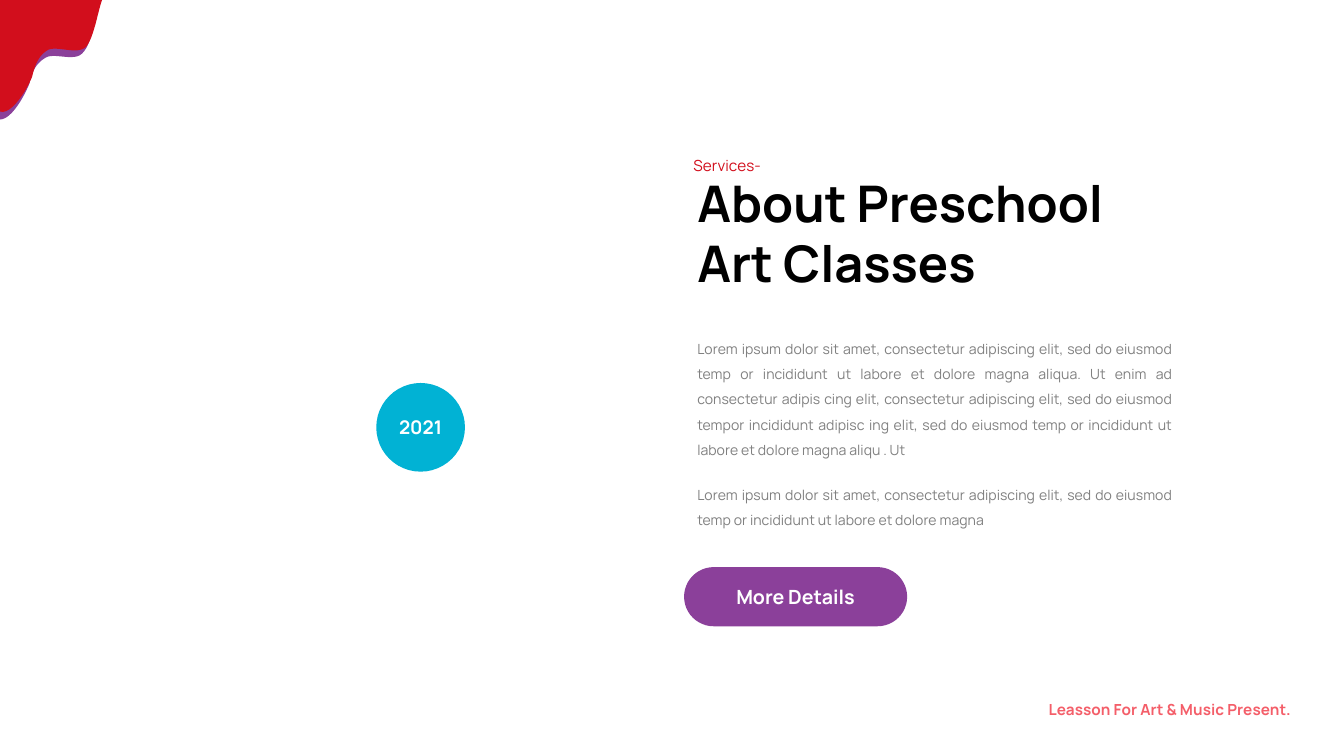
from pptx import Presentation
from pptx import util as u
from pptx.dml.color import RGBColor
from pptx.enum import shapes, text

THEME = {
    "font": "Manrope",
    "red": "D20E1C", "purple": "8B409A", "cyan": "01B2D4", "coral": "F45E69",
    "black": "000000", "grey": "808080", "white": "FFFFFF",
    "title": 27, "button": 10.5, "badge": 10.1, "label": 8.25, "body": 7.5,
}
WIDTH = 10
HEIGHT = WIDTH * 9 / 16
COLUMN_LEFT, COLUMN_WIDTH = 5.09, 3.73
WIDE_INSET, SMALL_INSET = (0.1, 0.05), (0.07, 0.04)

ALIGN = text.PP_ALIGN
LABEL = {"size": "label", "inset": SMALL_INSET, "spacing": 1.5}
BODY = {"size": "body", "color": "grey", "align": ALIGN.JUSTIFY, "spacing": 1.5}

# box (left, top, width, height), lines, format
TEXTS = [
    ((COLUMN_LEFT, 1.23, COLUMN_WIDTH, 1.01), ["About Preschool", "Art Classes"],
     {"size": "title", "color": "black", "bold": True}),
    ((COLUMN_LEFT, 1.05, 1.26, 0.28), ["Services-"],
     {**LABEL, "color": "red", "align": ALIGN.JUSTIFY}),
    ((6.87, 5.1, 2.81, 0.28), ["Leasson For Art & Music Present."],
     {**LABEL, "color": "coral", "bold": True, "align": ALIGN.RIGHT}),
    ((COLUMN_LEFT, 2.42, COLUMN_WIDTH, 1.05),
     ["Lorem ipsum dolor sit amet, consectetur adipiscing elit, sed do eiusmod "
      "temp or incididunt ut labore et dolore magna aliqua. Ut enim ad consectetur "
      "adipis cing elit, consectetur adipiscing elit, sed do eiusmod tempor "
      "incididunt adipisc ing elit, sed do eiusmod temp or incididunt ut labore et "
      "dolore magna aliqu . Ut"], BODY),
    ((COLUMN_LEFT, 3.51, COLUMN_WIDTH, 0.48),
     ["Lorem ipsum dolor sit amet, consectetur adipiscing elit, sed do eiusmod "
      "temp or incididunt ut labore et dolore magna"], BODY),
]

# preset, box, fill, caption, type size
CAPTIONED = [
    (shapes.MSO_SHAPE.OVAL, (2.8, 2.85, 0.66, 0.66), "cyan", "2021", "badge"),
    (shapes.MSO_SHAPE.ROUNDED_RECTANGLE, (COLUMN_LEFT, 4.22, 1.66, 0.44),
     "purple", "More Details", "button"),
]

# fill, top left corner, start of the wavy edge, Bezier segments down the edge
DRIPS = [
    ("purple", (0, 0.06), (0.73, 0.06), [
        ((0.71, 0.14), (0.68, 0.34), (0.61, 0.40)),
        ((0.55, 0.46), (0.40, 0.39), (0.34, 0.43)),
        ((0.27, 0.47), (0.24, 0.53), (0.22, 0.62)),
        ((0.19, 0.70), (0.09, 0.89), (0, 0.89))]),
    ("red", (0, 0), (0.76, 0), [
        ((0.73, 0.08), (0.70, 0.28), (0.64, 0.35)),
        ((0.57, 0.41), (0.43, 0.34), (0.36, 0.37)),
        ((0.29, 0.41), (0.26, 0.48), (0.24, 0.57)),
        ((0.21, 0.65), (0.09, 0.86), (0, 0.83))]),
]


def color(name):
    return RGBColor.from_string(THEME[name])


def inches(values):
    return [u.Inches(value) for value in values]


def curve(start, segments, steps=12):
    """Points along a chain of cubic Bezier segments, without the start."""
    points = []
    for first, second, end in segments:
        for step in range(1, steps + 1):
            t = step / steps
            weights = ((1 - t) ** 3, 3 * t * (1 - t) ** 2, 3 * t ** 2 * (1 - t), t ** 3)
            corners = (start, first, second, end)
            points.append(tuple(sum(w * corner[axis] for w, corner in zip(weights, corners))
                                for axis in (0, 1)))
        start = end
    return points


def paint(shape, fill):
    shape.shadow.inherit = False
    shape.fill.solid()
    shape.fill.fore_color.rgb = color(fill)
    shape.line.fill.background()


def write(shape, lines, frame_format, style):
    frame = shape.text_frame
    for name, value in frame_format.items():
        setattr(frame, name, value)
    horizontal, vertical = inches(style.get("inset", WIDE_INSET))
    frame.margin_left = frame.margin_right = horizontal
    frame.margin_top = frame.margin_bottom = vertical
    frame.text = "\n".join(lines)
    font_format = {"name": THEME["font"], "size": u.Pt(THEME[style["size"]]),
                   "bold": style.get("bold", False)}
    for paragraph in frame.paragraphs:
        paragraph.alignment = style.get("align", ALIGN.LEFT)
        paragraph.line_spacing = style.get("spacing", 1.0)
        for run in paragraph.runs:
            for name, value in font_format.items():
                setattr(run.font, name, value)
            run.font.color.rgb = color(style["color"])


def main():
    presentation = Presentation()
    presentation.slide_width, presentation.slide_height = inches((WIDTH, HEIGHT))
    slide = presentation.slides.add_slide(presentation.slide_layouts[6])

    for fill, corner, edge_start, segments in DRIPS:
        edge = [edge_start] + curve(edge_start, segments)
        builder = slide.shapes.build_freeform(*inches(corner))
        builder.add_line_segments([inches(point) for point in edge], close=True)
        paint(builder.convert_to_shape(), fill)

    for preset, box, fill, caption, size in CAPTIONED:
        shape = slide.shapes.add_shape(preset, *inches(box))
        if preset == shapes.MSO_SHAPE.ROUNDED_RECTANGLE:
            shape.adjustments[0] = 0.5
        paint(shape, fill)
        write(shape, [caption],
              {"word_wrap": False, "vertical_anchor": text.MSO_ANCHOR.MIDDLE},
              {"size": size, "color": "white", "bold": True,
               "align": ALIGN.CENTER, "inset": (0, 0)})

    for box, lines, style in TEXTS:
        write(slide.shapes.add_textbox(*inches(box)), lines,
              {"word_wrap": True, "auto_size": text.MSO_AUTO_SIZE.SHAPE_TO_FIT_TEXT}, style)

    presentation.save("out.pptx")


if __name__ == "__main__":
    main()
